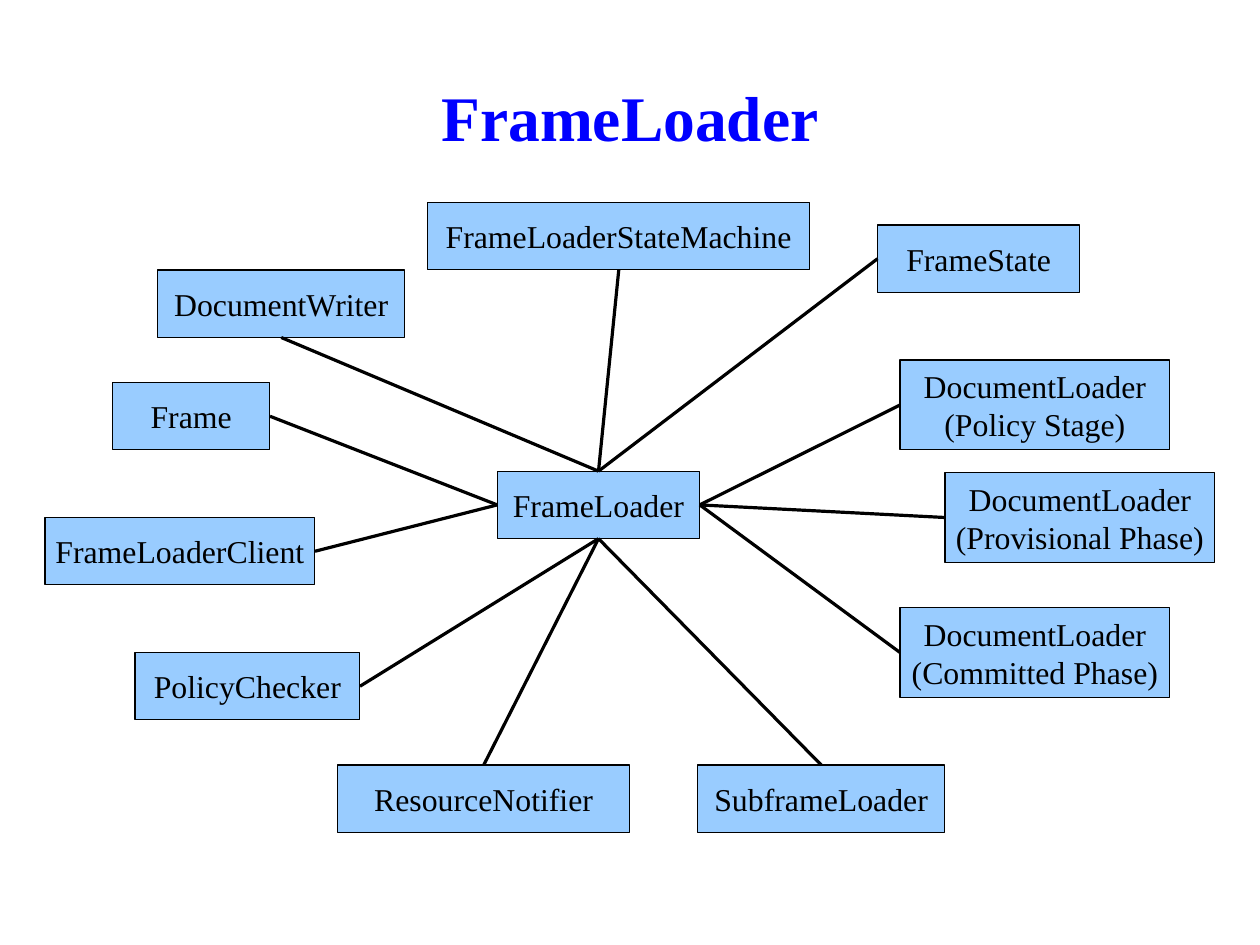
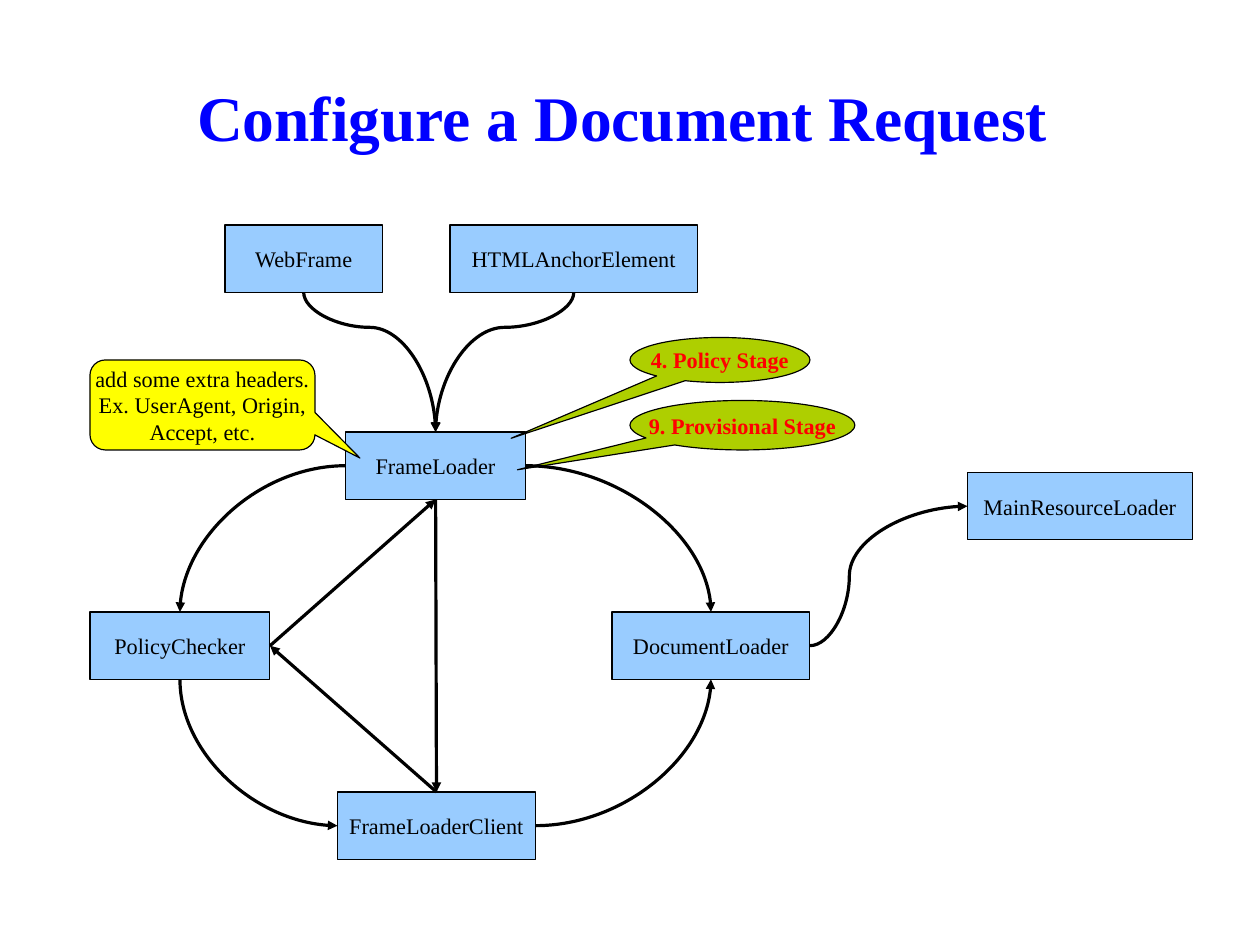
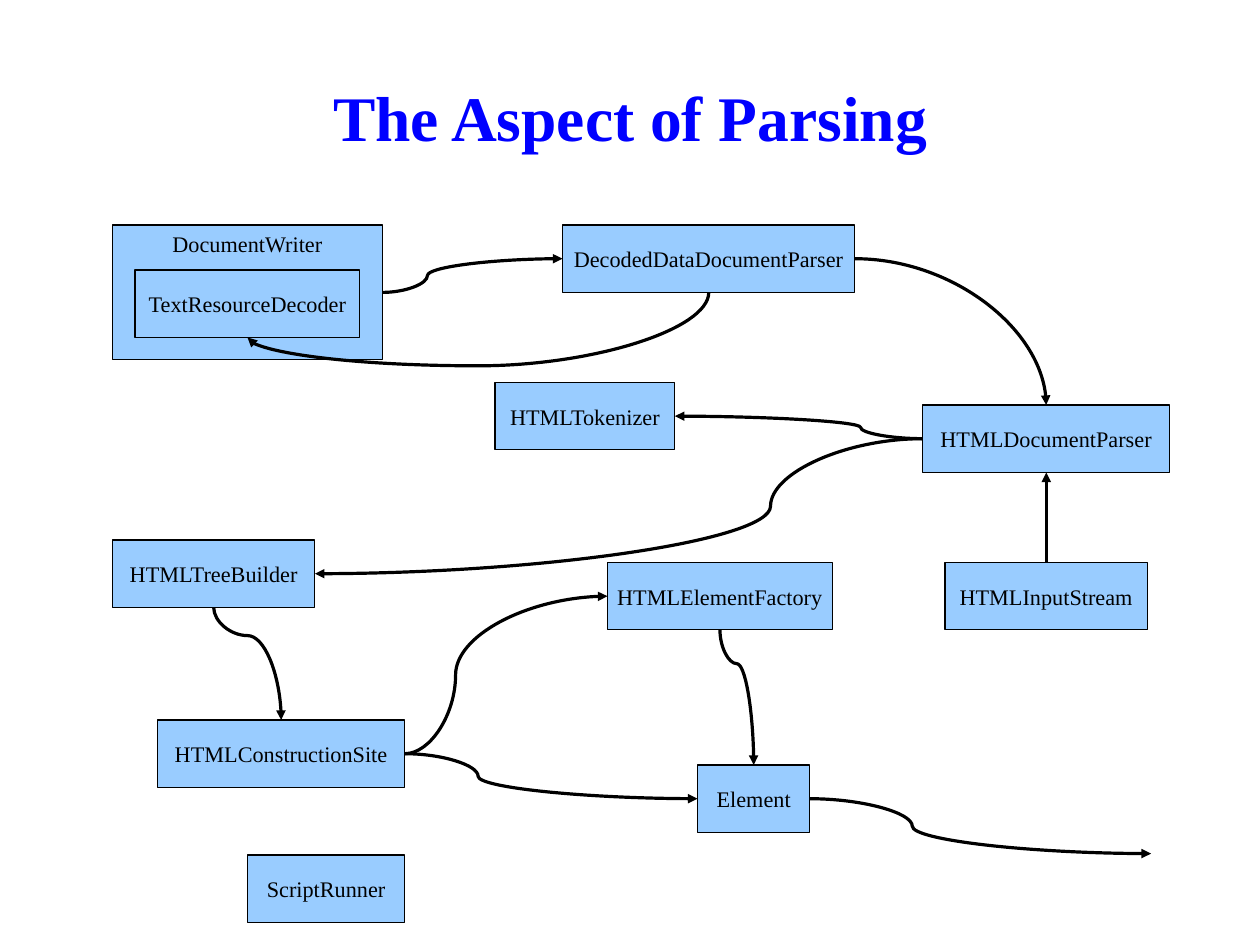
"""Build three diagram slides about loading and parsing a document."""
import pptx
import pptx.dml.color
import pptx.enum.shapes
import pptx.enum.text
import pptx.oxml
import pptx.oxml.ns
import pptx.util
import lxml.etree

Cm = pptx.util.Cm
Pt = pptx.util.Pt
SHAPE = pptx.enum.shapes.MSO_SHAPE
LINE = pptx.enum.shapes.MSO_CONNECTOR
ANCHOR = pptx.enum.text.MSO_ANCHOR
ALIGN = pptx.enum.text.PP_ALIGN

FONT = "Times New Roman"
BLACK, BLUE, SKY = "000000", "0000FF", "99CCFF"
GREEN, RED, YELLOW = "AECF00", "FF0000", "FFFF00"
TOP, LEFT, BOTTOM, RIGHT = range(4)
HIGH = 1.5

SLIDES = [
    {
        "title": "FrameLoader",
        "size": 20,
        "arrow": False,
        "boxes": [
            ("FrameLoader", 11.05, 10.47, 4.5, HIGH),
            ("Frame", 2.5, 8.5, 3.5, HIGH),
            ("FrameLoaderClient", 1, 11.5, 6, HIGH),
            ("PolicyChecker", 3, 14.5, 5, HIGH),
            ("DocumentLoader\n(Committed Phase)", 20, 13.5, 6, 2),
            ("DocumentLoader\n(Policy Stage)", 20, 8, 6, 2),
            ("FrameLoaderStateMachine", 9.5, 4.5, 8.5, HIGH),
            ("DocumentWriter", 3.5, 6, 5.5, HIGH),
            ("DocumentLoader\n(Provisional Phase)", 21, 10.5, 6, 2),
            ("FrameState", 19.5, 5, 4.5, HIGH),
            ("ResourceNotifier", 7.5, 17, 6.5, HIGH),
            ("SubframeLoader", 15.5, 17, 5.5, HIGH),
        ],
        "notes": [],
        "links": [
            ("ResourceNotifier", TOP, "FrameLoader", BOTTOM, None),
            ("SubframeLoader", TOP, "FrameLoader", BOTTOM, None),
            ("PolicyChecker", RIGHT, "FrameLoader", BOTTOM, None),
            ("FrameLoaderClient", RIGHT, "FrameLoader", LEFT, None),
            ("Frame", RIGHT, "FrameLoader", LEFT, None),
            ("FrameState", LEFT, "FrameLoader", TOP, None),
            ("DocumentWriter", BOTTOM, "FrameLoader", TOP, None),
            ("FrameLoaderStateMachine", BOTTOM, "FrameLoader", TOP, None),
            ("DocumentLoader\n(Policy Stage)", LEFT, "FrameLoader", RIGHT, None),
            ("DocumentLoader\n(Provisional Phase)", LEFT, "FrameLoader", RIGHT, None),
            ("DocumentLoader\n(Committed Phase)", LEFT, "FrameLoader", RIGHT, None),
        ],
    },
    {
        "title": "Configure a Document Request ",
        "size": 14,
        "arrow": True,
        "boxes": [
            ("FrameLoaderClient", 7.5, 17.6, 4.4, HIGH),
            ("DocumentLoader", 13.6, 13.6, 4.4, HIGH),
            ("PolicyChecker", 2, 13.6, 4, HIGH),
            ("MainResourceLoader", 21.5, 10.5, 5, HIGH),
            ("FrameLoader", 7.68, 9.6, 4, HIGH),
            ("WebFrame", 5, 5, 3.5, HIGH),
            ("HTMLAnchorElement", 10, 5, 5.5, HIGH),
        ],
        "notes": [
            ("4. Policy Stage", 14, 7.5, 4, 1, SHAPE.OVAL_CALLOUT,
             (-1.16, 1.74), GREEN, RED, True),
            ("9. Provisional Stage", 14, 8.9, 5, 1.1, SHAPE.OVAL_CALLOUT,
             (-1, 0.9), GREEN, RED, True),
            ("add some extra headers.\nEx. UserAgent, Origin,\nAccept, etc.",
             2, 8, 5, 2, SHAPE.ROUNDED_RECTANGULAR_CALLOUT,
             (0.7, 0.59, 0.17), YELLOW, BLACK, False),
        ],
        "links": [
            ("FrameLoader", BOTTOM, "FrameLoaderClient", TOP, None),
            ("WebFrame", BOTTOM, "FrameLoader", TOP, 0.25),
            ("HTMLAnchorElement", BOTTOM, "FrameLoader", TOP, 0.25),
            ("FrameLoader", LEFT, "PolicyChecker", TOP, 0),
            ("PolicyChecker", BOTTOM, "FrameLoaderClient", LEFT, 0),
            ("FrameLoaderClient", RIGHT, "DocumentLoader", BOTTOM, 0),
            ("FrameLoader", RIGHT, "DocumentLoader", TOP, 0),
            ("FrameLoaderClient", TOP, "PolicyChecker", RIGHT, None),
            ("PolicyChecker", RIGHT, "FrameLoader", BOTTOM, None),
            ("DocumentLoader", RIGHT, "MainResourceLoader", LEFT, 0.25),
        ],
    },
    {
        "title": "The Aspect of Parsing",
        "size": 14,
        "arrow": True,
        "boxes": [
            ("DocumentWriter", 2.5, 5, 6, 3, ANCHOR.TOP),
            ("DecodedDataDocumentParser", 12.5, 5, 6.5, HIGH),
            ("HTMLInputStream", 21, 12.5, 4.5, HIGH),
            ("HTMLDocumentParser", 20.5, 9, 5.5, HIGH),
            ("HTMLElementFactory", 13.5, 12.5, 5, HIGH),
            ("HTMLTokenizer", 11, 8.5, 4, HIGH),
            ("HTMLConstructionSite", 3.5, 16, 5.5, HIGH),
            ("ScriptRunner", 5.5, 19, 3.5, HIGH),
            ("HTMLTreeBuilder", 2.5, 12, 4.5, HIGH),
            ("Element", 15.5, 17, 2.5, HIGH),
            ("TextResourceDecoder", 3, 6, 5, HIGH),
        ],
        "notes": [],
        "links": [
            ("HTMLDocumentParser", LEFT, "HTMLTokenizer", RIGHT, 0.25),
            ("HTMLDocumentParser", LEFT, "HTMLTreeBuilder", RIGHT, 0.25),
            ("HTMLTreeBuilder", BOTTOM, "HTMLConstructionSite", TOP, 0.25),
            ("HTMLConstructionSite", RIGHT, "HTMLElementFactory", LEFT, 0.25),
            ("HTMLConstructionSite", RIGHT, "Element", LEFT, 0.25),
            ("DocumentWriter", RIGHT, "DecodedDataDocumentParser", LEFT, 0.25),
            ("DecodedDataDocumentParser", BOTTOM, "TextResourceDecoder", BOTTOM, 1.63),
            ("DecodedDataDocumentParser", RIGHT, "HTMLDocumentParser", TOP, 0),
            ("HTMLInputStream", TOP, "HTMLDocumentParser", BOTTOM, None),
            ("HTMLElementFactory", BOTTOM, "Element", TOP, 0.25),
            ("Element", RIGHT, (25.58, 18.97), LEFT, 0.3),
        ],
    },
]


def color(code):
    """Turn a hex string into a colour."""
    return pptx.dml.color.RGBColor.from_string(code)


def write(frame, text, size, ink, bold, anchor):
    """Fill a text frame with centred lines in the shared font."""
    frame.vertical_anchor = anchor
    for pos, line in enumerate(text.split("\n")):
        para = frame.add_paragraph() if pos else frame.paragraphs[0]
        para.alignment = ALIGN.CENTER
        run = para.add_run()
        run.text = line
        run.font.name = FONT
        run.font.size = Pt(size)
        run.font.bold = bold
        run.font.color.rgb = color(ink)


def set_title(slide, text):
    """Place and style the slide title."""
    title = slide.shapes.title
    title.left, title.top, title.width, title.height = map(Cm, (1.4, 0.84, 25.2, 3.5))
    frame = title.text_frame
    frame.margin_left = frame.margin_right = frame.margin_top = frame.margin_bottom = 0
    frame.word_wrap = True
    write(frame, text, 40, BLUE, True, ANCHOR.MIDDLE)


def add_box(slide, kind, spot, text, size, fill=SKY, ink=BLACK, bold=False,
            anchor=ANCHOR.MIDDLE):
    """Add a filled shape with a thin black edge and a label."""
    box = slide.shapes.add_shape(kind, *map(Cm, spot))
    box.shadow.inherit = False
    box.fill.solid()
    box.fill.fore_color.rgb = color(fill)
    box.line.color.rgb = color(BLACK)
    box.line.width = Pt(0)
    box.text_frame.word_wrap = False
    write(box.text_frame, text, size, ink, bold, anchor)
    return box


def bend_link(link, start, end, bend):
    """Give a curved link its preset, its bend and the turn it needs."""
    props = link._element.spPr
    shape = props.prstGeom
    if (start + end) % 2:
        shape.set("prst", "curvedConnector2")
    else:
        guide = lxml.etree.SubElement(shape.get_or_add_avLst(), pptx.oxml.ns.qn("a:gd"))
        guide.set("name", "adj1")
        guide.set("fmla", f"val {round(bend * 100000)}")
    if start in (TOP, BOTTOM):
        across, down = link.end_x - link.begin_x, link.end_y - link.begin_y
        mid_x, mid_y = link.begin_x + across // 2, link.begin_y + down // 2
        link.width, link.height = abs(down), abs(across)
        link.left, link.top = mid_x - link.width // 2, mid_y - link.height // 2
        frame = props.find(pptx.oxml.ns.qn("a:xfrm"))
        frame.set("rot", str((90 if down > 0 else 270) * 60000))
        frame.set("flipH", "0")
        frame.set("flipV", "1" if (across > 0) == (down > 0) else "0")


def add_link(slide, boxes, first, start, last, end, bend, arrow):
    """Join two boxes, or a box and a point, by a thin line."""
    kind = LINE.STRAIGHT if bend is None else LINE.CURVE
    goal = (0, 0) if last in boxes else tuple(map(Cm, last))
    link = slide.shapes.add_connector(kind, 0, 0, *goal)
    link.begin_connect(boxes[first], start)
    if last in boxes:
        link.end_connect(boxes[last], end)
    if bend is not None:
        bend_link(link, start, end, bend)
    link.line.color.rgb = color(BLACK)
    link.line.width = Pt(0)
    if arrow:
        tip = lxml.etree.SubElement(link.line._get_or_add_ln(), pptx.oxml.ns.qn("a:tailEnd"))
        tip.set("type", "triangle")
    lxml.etree.SubElement(link._element.spPr, pptx.oxml.ns.qn("a:effectLst"))


def build(deck, page):
    """Build one slide from its content."""
    slide = deck.slides.add_slide(deck.slide_layouts[5])
    set_title(slide, page["title"])
    boxes = {}
    for text, x, y, wide, high, *anchor in page["boxes"]:
        boxes[text] = add_box(slide, SHAPE.RECTANGLE, (x, y, wide, high), text,
                              page["size"], anchor=anchor[0] if anchor else ANCHOR.MIDDLE)
    for text, x, y, wide, high, kind, tip, fill, ink, bold in page["notes"]:
        note = add_box(slide, kind, (x, y, wide, high), text, page["size"], fill, ink, bold)
        for pos, value in enumerate(tip):
            note.adjustments[pos] = value
    for link in page["links"]:
        add_link(slide, boxes, *link, page["arrow"])


def main():
    """Build and save the deck."""
    deck = pptx.Presentation()
    deck.slide_width, deck.slide_height = Cm(28), Cm(21)
    for page in SLIDES:
        build(deck, page)
    deck.save("out.pptx")


if __name__ == "__main__":
    main()
